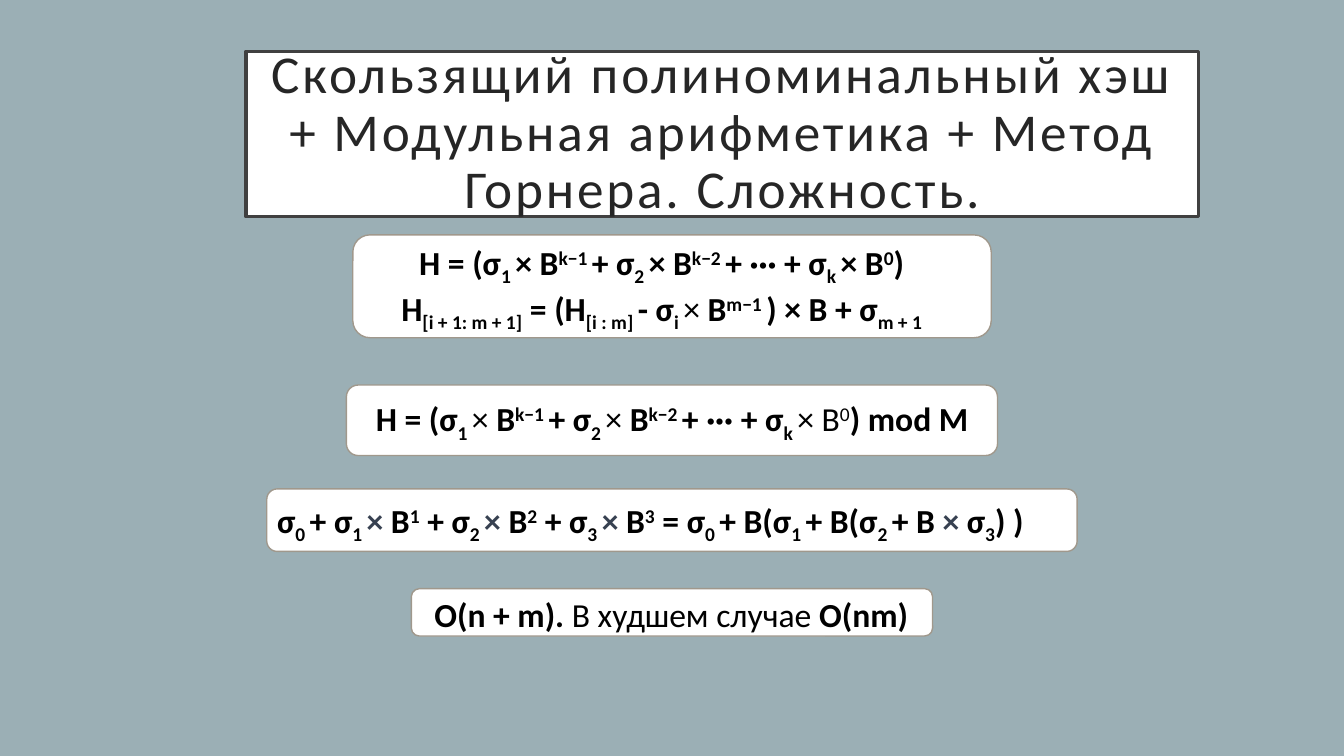
from pptx import Presentation
from pptx.dml.color import RGBColor
from pptx.enum.shapes import MSO_SHAPE
from pptx.enum.text import MSO_ANCHOR, MSO_AUTO_SIZE, PP_ALIGN
from pptx.util import Inches, Pt

COLORS = {
    "background": "9BAFB5", "panel": "FFFFFF", "panel_line": "A0988C",
    "title_line": "404040", "title": "262626", "formula": "000000", "slate": "374151",
}
WIDTH, HEIGHT = Inches(13.33), Inches(7.5)

TITLE = "Скользящий полиноминальный хэш + Модульная арифметика + Метод Горнера. Сложность."

# Markers before braces: _ subscript, ^ superscript, ~ regular weight, # slate
MARKERS = {
    "_": {"baseline": -25}, "^": {"baseline": 30}, "~": {"bold": False},
    "°": {"bold": False, "baseline": 30}, "#": {"color": "slate"},
}
ROLLING_HASH = [
    "H = (σ_{1 }× B^{k−1 }+ σ_{2 }× B^{k−2 }+ ··· + σ_{k }× B^{0})",
    "H_{[i + 1: m + 1]} = (H_{[i : m] }- σ_{i }~{× }B^{m−1 }) × B + σ_{m + 1}",
]
MODULAR_HASH = ["H = (σ_{1 }~{× }B^{k−1 }+ σ_{2 }~{× }B^{k−2 }+ ··· + σ_{k }~{× B}°{0}) mod M"]
HORNER = ["σ_{0 }+ σ_{1 }#{× }B^{1} + σ_{2 }#{× }B^{2} + σ_{3 }#{× }B^{3}"
          " = σ_{0 }+ B(σ_{1 }+ B(σ_{2 }+ B #{× }σ_{3}) )"]
COMPLEXITY = ["O(n + m). ~{В худшем случае }O(nm)"]

# Percent of the slide: top, width, height of each centred panel
PANELS = [(31.07, 47.5, 13.6), (50.93, 48.45, 9.33), (64.67, 60.3, 8.27), (77.87, 38.78, 6.27)]
# Percent of the slide: left, top, width, height; then lines and alignment
FORMULAS = [
    ((25, 52, 50, 6.67), MODULAR_HASH, PP_ALIGN.CENTER),
    ((19.88, 65.47, 61.43, 12.13), HORNER, PP_ALIGN.LEFT),
    ((31.58, 77.87, 61.43, 6.67), COMPLEXITY, PP_ALIGN.LEFT),
    ((24.23, 31.33, 50, 17.47), ROLLING_HASH, PP_ALIGN.CENTER),
]


def color(name):
    return RGBColor.from_string(COLORS[name])


def place(left, top, width, height):
    return [int(share * side / 100) for share, side in
            zip((left, top, width, height), (WIDTH, HEIGHT, WIDTH, HEIGHT))]


def apply(target, values):
    for name, value in values.items():
        setattr(target, name, value)


def add_panel(page, kind, area, line, weight):
    panel = page.shapes.add_shape(kind, *place(*area))
    panel.shadow.inherit = False
    panel.fill.solid()
    panel.fill.fore_color.rgb = color("panel")
    panel.line.color.rgb = color(line)
    panel.line.width = Pt(weight)
    return panel


def add_span(para, text, size, ink, bold=False, baseline=0):
    span = para.add_run()
    span.text = text
    apply(span.font, {"name": "Calibri", "size": Pt(size), "bold": bold})
    span.font.color.rgb = color(ink)
    if baseline:
        span.font._element.set("baseline", str(baseline * 1000))
    return span


def add_title(page):
    box = add_panel(page, MSO_SHAPE.RECTANGLE, (18.3, 6.8, 70.88, 21.87), "title_line", 2.5)
    inset = Inches(0.2)
    apply(box.text_frame, {
        "word_wrap": True, "vertical_anchor": MSO_ANCHOR.MIDDLE,
        "margin_left": inset, "margin_top": inset,
        "margin_right": inset, "margin_bottom": inset,
    })
    para = box.text_frame.paragraphs[0]
    apply(para, {"alignment": PP_ALIGN.CENTER, "line_spacing": 0.9})
    span = add_span(para, TITLE, 38, "title")
    span.font._element.set("spc", "200")


def add_formula_line(para, line):
    for chunk in line.split("}"):
        plain, brace, marked = chunk.partition("{")
        marker = plain[-1] if brace else ""
        plain = plain[:-1] if brace else plain
        if plain:
            add_span(para, plain, 24, "formula", bold=True)
        if marked:
            style = {"bold": True, "color": "formula", **MARKERS[marker]}
            ink = style.pop("color")
            add_span(para, marked, 24, ink, **style)


def add_formula(page, area, lines, alignment):
    frame = page.shapes.add_textbox(*place(*area)).text_frame
    apply(frame, {"word_wrap": True, "auto_size": MSO_AUTO_SIZE.SHAPE_TO_FIT_TEXT})
    for index, line in enumerate(lines):
        para = frame.add_paragraph() if index else frame.paragraphs[0]
        para.alignment = alignment
        add_formula_line(para, line)


def main():
    deck = Presentation()
    apply(deck, {"slide_width": WIDTH, "slide_height": HEIGHT})
    page = deck.slides.add_slide(deck.slide_layouts[6])
    page.background.fill.solid()
    page.background.fill.fore_color.rgb = color("background")

    # Title frame
    add_title(page)

    # White panels, centred across the slide
    for top, width, height in PANELS:
        area = ((100 - width) / 2, top, width, height)
        add_panel(page, MSO_SHAPE.ROUNDED_RECTANGLE, area, "panel_line", 1)

    # Formulas over the panels
    for area, lines, alignment in FORMULAS:
        add_formula(page, area, lines, alignment)

    deck.save("out.pptx")


if __name__ == "__main__":
    main()
